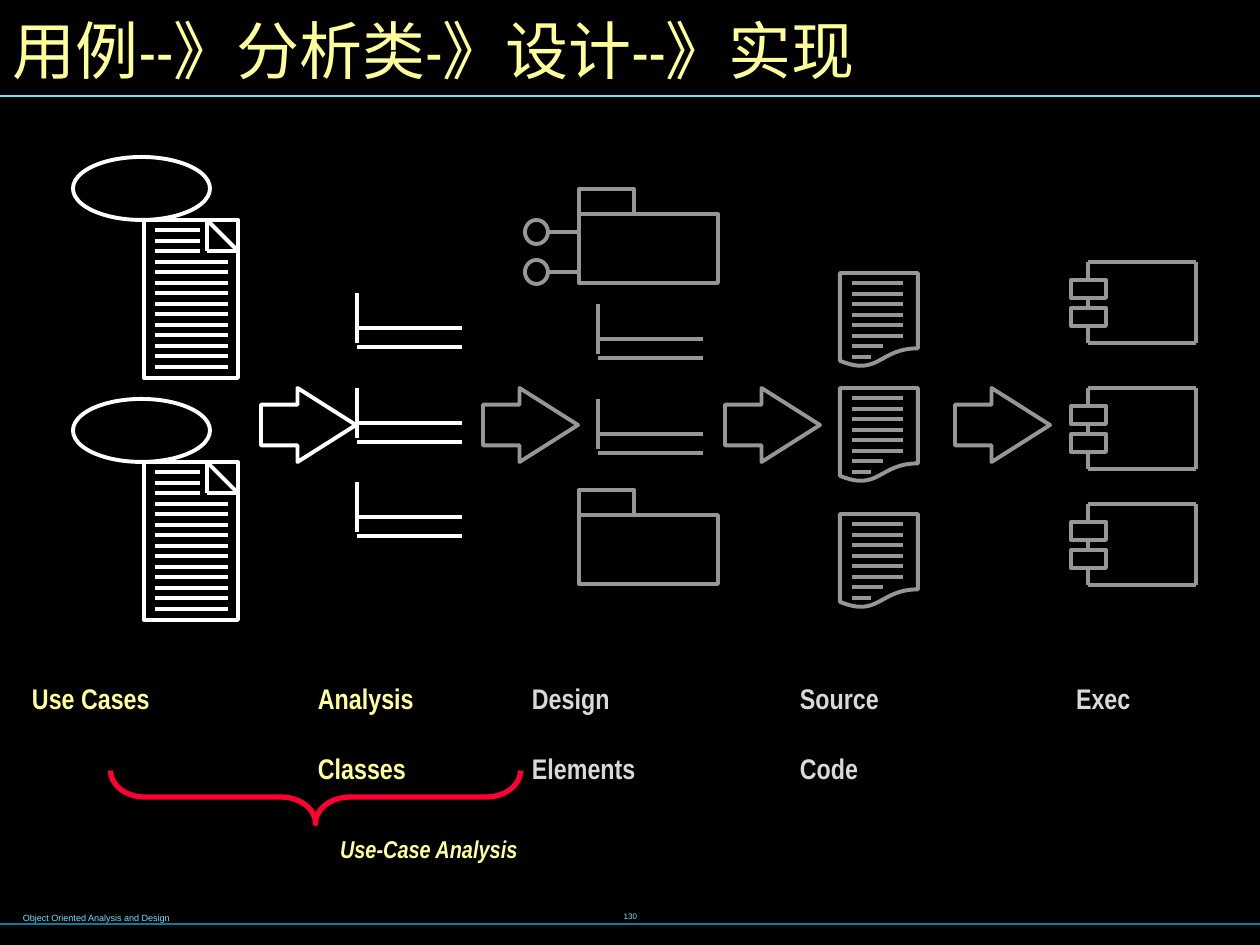
from dataclasses import dataclass

from lxml import etree
from pptx import Presentation
from pptx import util as u
from pptx.dml.color import RGBColor
from pptx.enum import shapes, text
from pptx.oxml.ns import qn

EMU_PER_PX = 914400 / 126
COLORS = {
    "black": "000000", "white": "FFFFFF", "gray": "969696", "silver": "D9D9D9",
    "yellow": "FFFF99", "red": "FF0033", "cyan": "73E1FF", "teal": "007E9F",
}
SHAPE = shapes.MSO_SHAPE


@dataclass
class Label:
    text: str
    x: int
    y: int
    w: int
    h: int
    size: int
    color: str
    font: str = "Arial Narrow"
    bold: bool = False
    italic: bool = False
    wrap: bool = False
    grow: bool = True
    middle: bool = False
    centered: bool = False
    inset_x: int = 13
    inset_y: int = 6
    lowered: bool = True


@dataclass
class Arrow:
    x: int
    color: str


@dataclass
class ClassIcon:
    x: int
    y: int
    color: str


def px(n: int) -> u.Emu:
    return u.Emu(round(n * EMU_PER_PX))


def rgb(name: str) -> RGBColor:
    return RGBColor.from_string(COLORS[name])


def outline(g, kind, x: int, y: int, w: int, h: int, color: str, width: float = 2.25):
    sp = g.add_shape(kind, px(x), px(y), px(w), px(h))
    sp.shadow.inherit = False
    sp.fill.background()
    sp.line.color.rgb = rgb(color)
    sp.line.width = u.Pt(width)
    return sp


def line(g, x1: int, y1: int, x2: int, y2: int, color: str, width: float = 2.25) -> None:
    c = g.add_connector(shapes.MSO_CONNECTOR.STRAIGHT, px(x1), px(y1), px(x2), px(y2))
    c.line.color.rgb = rgb(color)
    c.line.width = u.Pt(width)
    etree.SubElement(c._element.spPr, qn("a:effectLst"))


def row_y(y: int, i: int) -> int:
    """Height of text row i on a page whose top is y; rows are 10.5 px apart."""
    return y + 21 * (i + 1) // 2


def add_label(s, lb: Label) -> None:
    sp = s.shapes.add_textbox(px(lb.x), px(lb.y), px(lb.w), px(lb.h))
    tf = sp.text_frame
    tf.text = lb.text
    tf.word_wrap = lb.wrap
    tf.auto_size = (text.MSO_AUTO_SIZE.SHAPE_TO_FIT_TEXT if lb.grow
                    else text.MSO_AUTO_SIZE.NONE)
    tf.margin_left = tf.margin_right = px(lb.inset_x)
    tf.margin_top = tf.margin_bottom = px(lb.inset_y)
    if lb.middle:
        tf.vertical_anchor = text.MSO_ANCHOR.MIDDLE
    for p in tf.paragraphs:
        if lb.centered:
            p.alignment = text.PP_ALIGN.CENTER
        for r in p.runs:
            r.font.name = lb.font
            r.font.size = u.Pt(lb.size)
            r.font.bold = lb.bold
            r.font.italic = lb.italic
            r.font.color.rgb = rgb(lb.color)
            if lb.lowered:  # subscript
                r._r.get_or_add_rPr().set("baseline", "-30000")


def add_use_case(s, y: int) -> None:
    g = s.shapes.add_group_shape().shapes
    outline(g, SHAPE.OVAL, 73, y, 137, 63, "white")
    top = y + 63
    outline(g, SHAPE.RECTANGLE, 144, top, 94, 158, "white")
    # Folded corner
    line(g, 207, top, 238, top + 31, "white")
    line(g, 207, top, 207, top + 31, "white")
    line(g, 238, top + 31, 207, top + 31, "white")
    for i in range(14):
        line(g, 155, row_y(top, i), 200 if i < 3 else 228, row_y(top, i), "white")


def add_class(s, c: ClassIcon) -> None:
    g = s.shapes.add_group_shape().shapes
    line(g, c.x, c.y, c.x, c.y + 50, c.color)
    for dy in (35, 54):
        line(g, c.x, c.y + dy, c.x + 105, c.y + dy, c.color)


def add_package(s, y: int, interfaces: bool) -> None:
    g = s.shapes.add_group_shape().shapes
    outline(g, SHAPE.RECTANGLE, 579, y + 25, 139, 69, "gray")
    outline(g, SHAPE.RECTANGLE, 579, y, 55, 25, "gray")
    if interfaces:
        for dy in (31, 71):
            outline(g, SHAPE.OVAL, 525, y + dy, 23, 24, "gray")
            line(g, 548, y + dy + 12, 579, y + dy + 12, "gray")


def add_source_file(s, y: int) -> None:
    g = s.shapes.add_group_shape().shapes
    outline(g, SHAPE.FLOWCHART_DOCUMENT, 840, y, 78, 94, "gray")
    for i, right in enumerate([903] * 6 + [883, 871]):
        line(g, 852, row_y(y, i), right, row_y(y, i), "gray")


def add_component(s, y: int) -> None:
    g = s.shapes.add_group_shape().shapes
    line(g, 1196, y, 1196, y + 81, "gray")
    for dy in (0, 81):
        line(g, 1196, y + dy, 1088, y + dy, "gray")
    for start, end in ((0, 18), (35, 46), (64, 81)):
        line(g, 1088, y + start, 1088, y + end, "gray")
    for dy in (18, 46):
        outline(g, SHAPE.RECTANGLE, 1071, y + dy, 35, 18, "gray")


ARROWS = [Arrow(261, "white"), Arrow(483, "gray"), Arrow(725, "gray"), Arrow(955, "gray")]
CLASSES = ([ClassIcon(357, y, "white") for y in (293, 388, 482)]
           + [ClassIcon(598, y, "gray") for y in (304, 399)])
LABELS = [
    # Footer and page number
    Label("Object Oriented Analysis and Design", 10, 895, 643, 31, 9, "cyan",
          font="Arial", wrap=True),
    Label("130", 431, 880, 399, 63, 8, "cyan", font="Arial", grow=False,
          middle=True, centered=True),
    # Stage names
    Label("Use Cases", 19, 640, 231, 72, 28, "yellow", bold=True),
    Label("Analysis\vClasses", 305, 640, 193, 131, 28, "yellow", bold=True),
    Label("Design\vElements", 519, 640, 205, 131, 28, "silver", bold=True),
    Label("Source\nCode", 787, 640, 163, 131, 28, "silver", bold=True),
    Label("Exec", 1063, 640, 120, 72, 28, "silver", bold=True),
    # Brace caption
    Label("Use-Case Analysis", 325, 796, 410, 66, 24, "yellow", bold=True,
          italic=True, wrap=True, inset_x=15, inset_y=8),
    # Title
    Label("用例--》分析类-》设计--》实现", 0, 0, 1251, 98, 36, "yellow",
          wrap=True, grow=False, middle=True, lowered=False),
]


def main() -> None:
    prs = Presentation()
    prs.slide_width, prs.slide_height = px(1260), px(945)
    s = prs.slides.add_slide(prs.slide_layouts[6])
    s.background.fill.solid()
    s.background.fill.fore_color.rgb = rgb("black")

    # Rules under the title and the footer
    line(s.shapes, 0, 924, 1265, 924, "teal", 0.75)
    line(s.shapes, 0, 96, 1260, 96, "cyan", 0.75)

    # Stages from use cases to executables
    for y in (157, 399):
        add_use_case(s, y)
    for c in CLASSES:
        add_class(s, c)
    add_package(s, 189, interfaces=True)
    add_package(s, 490, interfaces=False)
    for y in (273, 388, 514):
        add_source_file(s, y)
    for y in (262, 388, 504):
        add_component(s, y)

    # Arrows between stages
    for a in ARROWS:
        sp = outline(s.shapes, SHAPE.RIGHT_ARROW, a.x, 388, 95, 74, a.color)
        sp.adjustments[0], sp.adjustments[1] = 0.55, 0.79

    # Brace over the analysis step
    brace = outline(s.shapes, SHAPE.LEFT_BRACE, 289, 592, 53, 410, "red", 3)
    brace.rotation = 270
    brace.adjustments[0], brace.adjustments[1] = 0.65, 0.5

    for lb in LABELS:
        add_label(s, lb)
    prs.save("out.pptx")


if __name__ == "__main__":
    main()
